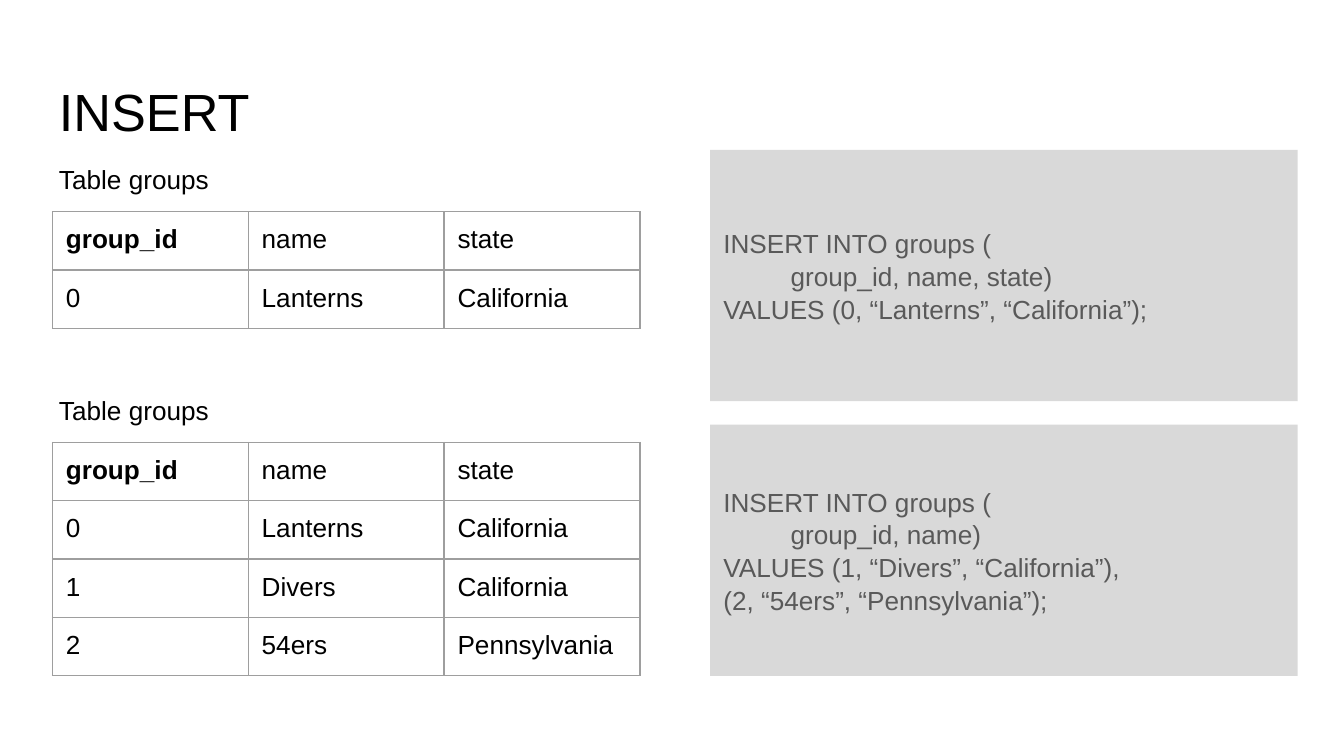
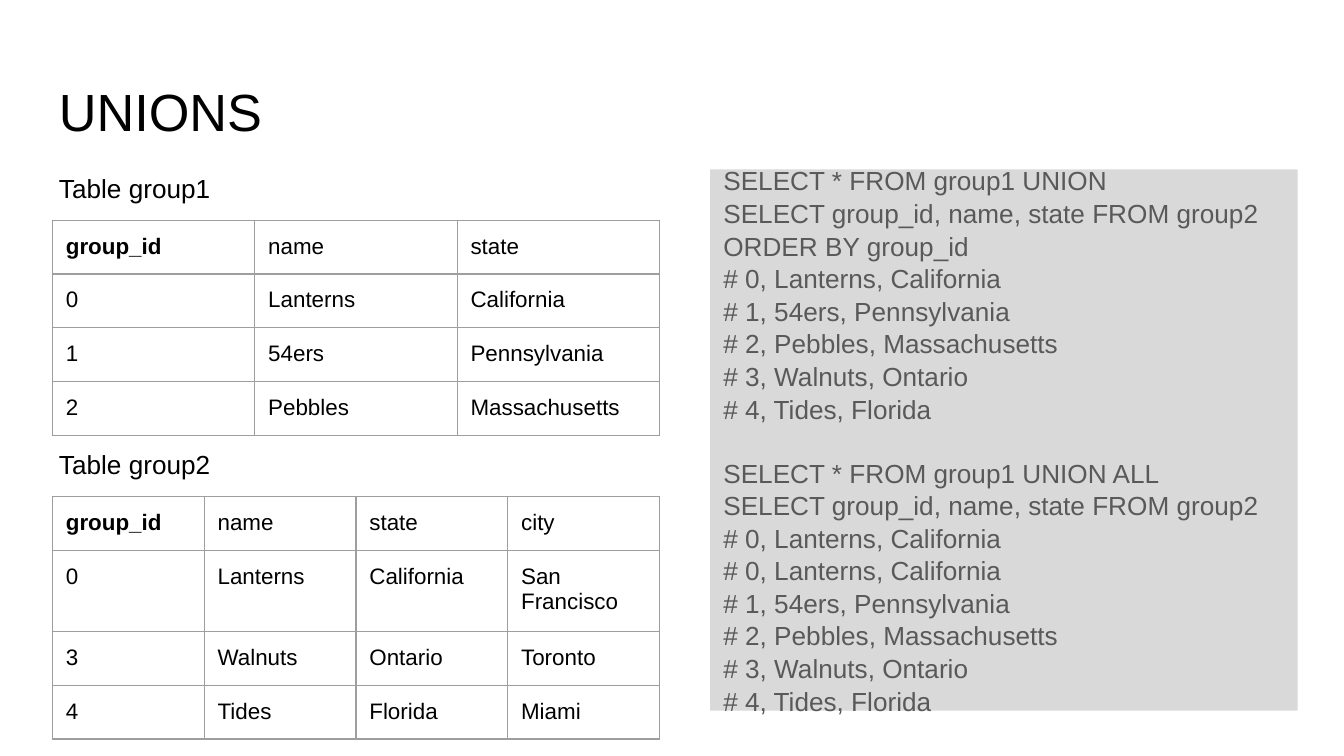
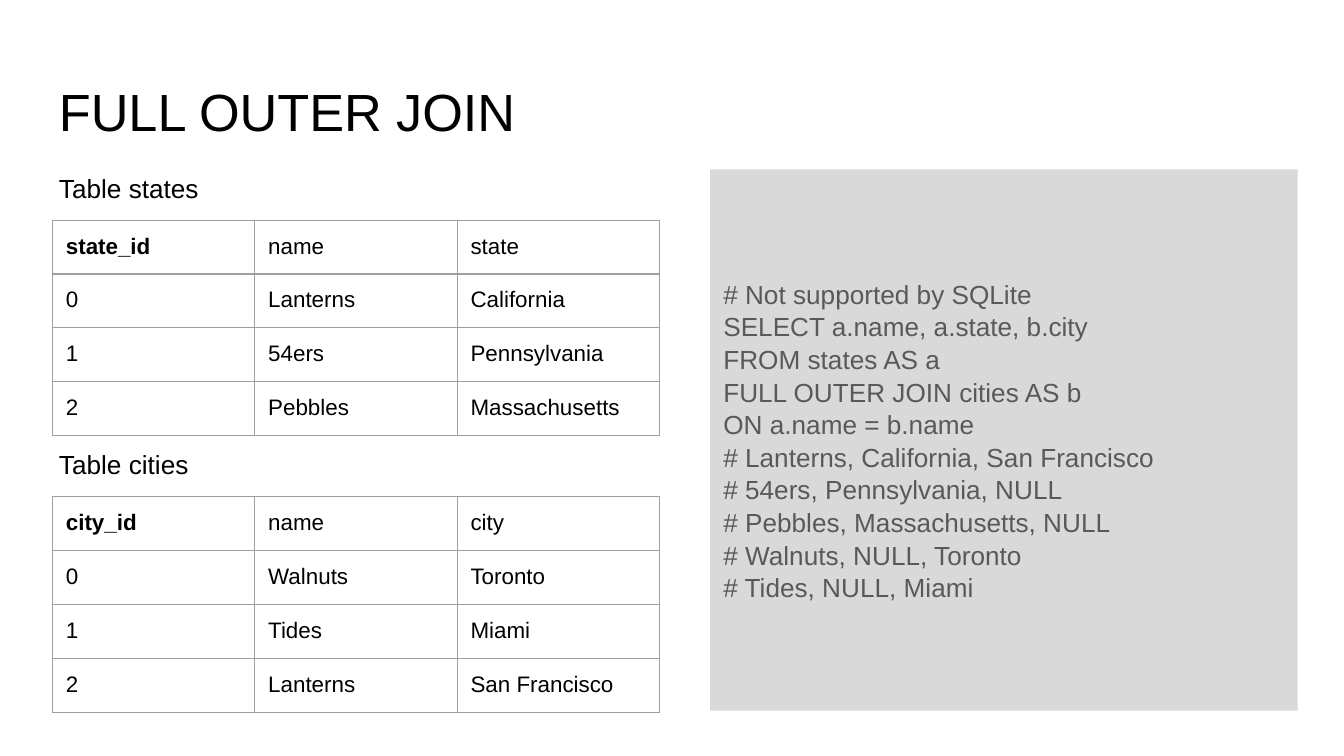
import pptx
import pptx.dml.color
import pptx.enum.shapes
import pptx.enum.text
import pptx.oxml.ns
import pptx.util
from lxml import etree

Pt = pptx.util.Pt


def color(code):
    return pptx.dml.color.RGBColor.from_string(code)


class Deck:
    # Shared style
    FONT = "Arial"
    INK, CODE, PANEL, RULE = "000000", "595959", "D9D9D9", "9E9E9E"
    LEFT, PAD = 28.1, 7.2
    LINE = 1.04  # line spacing of code

    def __init__(self):
        self.show = pptx.Presentation()
        self.show.slide_width, self.show.slide_height = Pt(720), Pt(405)

    def inset(self, item):
        item.margin_left = item.margin_right = Pt(self.PAD)
        item.margin_top = item.margin_bottom = Pt(self.PAD)

    def style(self, para, text, size, ink=INK, bold=False):
        para.text = text
        para.alignment = pptx.enum.text.PP_ALIGN.LEFT
        font = para.font
        font.name, font.size, font.bold = self.FONT, Pt(size), bold
        font.color.rgb = color(ink)

    def label(self, text, left, top, width, height, size):
        box = self.slide.shapes.add_textbox(
            Pt(left), Pt(top), Pt(width), Pt(height))
        frame = box.text_frame
        frame.word_wrap = True
        self.inset(frame)
        self.style(frame.paragraphs[0], text, size)

    def page(self, title):
        self.slide = self.show.slides.add_slide(self.show.slide_layouts[6])
        self.label(title, 24.5, 35.3, 671, 45.1, 28)

    def code(self, top, height, *blocks):
        """Gray panel; blocks are set apart by one line, a tab indents."""
        box = self.slide.shapes.add_shape(
            pptx.enum.shapes.MSO_SHAPE.RECTANGLE,
            Pt(380.4), Pt(top), Pt(314.8), Pt(height))
        box.shadow.inherit = False
        box.fill.solid()
        box.fill.fore_color.rgb = color(self.PANEL)
        box.line.fill.background()
        frame = box.text_frame
        frame.word_wrap = True
        frame.vertical_anchor = pptx.enum.text.MSO_ANCHOR.MIDDLE
        self.inset(frame)
        para = frame.paragraphs[0]
        for b, block in enumerate(blocks):
            for n, line in enumerate(block.split("\n")):
                if b or n:
                    para = frame.add_paragraph()
                self.style(para, line.strip("\t"), 14, self.CODE)
                para.line_spacing = self.LINE
                if b and n == 0:
                    para.space_before = Pt(16.8)
                if line.startswith("\t"):
                    para._p.get_or_add_pPr().set("indent", str(Pt(36)))

    def border(self, cell):
        props = cell._tc.get_or_add_tcPr()
        for side in "LRTB":
            line = etree.SubElement(
                props, pptx.oxml.ns.qn("a:ln" + side), w=str(Pt(0.75)))
            fill = etree.SubElement(line, pptx.oxml.ns.qn("a:solidFill"))
            etree.SubElement(
                fill, pptx.oxml.ns.qn("a:srgbClr"), val=self.RULE)

    def table(self, name, top, width, size, high, rows):
        """Captioned grid with a bold key in its first cell."""
        self.label(name, 24.5, top - 33, 106, 31, 14)
        grid = self.slide.shapes.add_table(
            len(rows), len(rows[0]), Pt(self.LEFT), Pt(top),
            Pt(width), Pt(high * len(rows))).table
        grid.first_row = grid.horz_banding = False
        for r, row in enumerate(rows):
            for c, value in enumerate(row):
                cell = grid.cell(r, c)
                self.inset(cell)
                self.border(cell)
                cell.fill.background()
                self.style(cell.text_frame.paragraphs[0], value, size,
                           bold=r == c == 0)

    def large(self, name, top, rows):
        self.table(name, top, 314.8, 14, 30, rows)

    def small(self, name, top, rows):
        self.table(name, top, 325.2, 12, 27.8, rows)


deck = Deck()

# Rows used more than once
HEAD = ("group_id", "name", "state")
FIRST = ("0", "Lanterns", "California")
TEAMS = [FIRST, ("1", "54ers", "Pennsylvania"),
         ("2", "Pebbles", "Massachusetts")]
UPPER, LOWER = 118, 266.2

# Slide 1: insert
deck.page("INSERT")
deck.code(80.3, 134.6,
          "INSERT INTO groups (\n\tgroup_id, name, state)\n"
          "VALUES (0, “Lanterns”, “California”);")
deck.large("Table groups", 113.4, [HEAD, FIRST])
deck.code(227.5, 134.6,
          "INSERT INTO groups (\n\tgroup_id, name)\n"
          "VALUES (1, “Divers”, “California”),\n"
          "(2, “54ers”, “Pennsylvania”);")
deck.large("Table groups", 237, [
    HEAD, FIRST,
    ("1", "Divers", "California"),
    ("2", "54ers", "Pennsylvania")])

# Slide 2: unions
first = "# 0, Lanterns, California\n"
result = first + """# 1, 54ers, Pennsylvania
# 2, Pebbles, Massachusetts
# 3, Walnuts, Ontario
# 4, Tides, Florida"""
pick = "SELECT group_id, name, state FROM group2\n"
deck.page("UNIONS")
deck.code(90.7, 290,
          "SELECT * FROM group1 UNION\n" + pick
          + "ORDER BY group_id\n" + result,
          "SELECT * FROM group1 UNION ALL\n" + pick + first + result)
deck.small("Table group1", UPPER, [HEAD, *TEAMS])
deck.small("Table group2", LOWER, [
    (*HEAD, "city"),
    (*FIRST, "San Francisco"),
    ("3", "Walnuts", "Ontario", "Toronto"),
    ("4", "Tides", "Florida", "Miami")])

# Slide 3: full outer join
deck.page("FULL OUTER JOIN")
deck.code(90.7, 290, """# Not supported by SQLite
SELECT a.name, a.state, b.city
FROM states AS a
FULL OUTER JOIN cities AS b
ON a.name = b.name
# Lanterns, California, San Francisco
# 54ers, Pennsylvania, NULL
# Pebbles, Massachusetts, NULL
# Walnuts, NULL, Toronto
# Tides, NULL, Miami""")
deck.small("Table states", UPPER, [("state_id", "name", "state"), *TEAMS])
deck.small("Table cities", LOWER, [
    ("city_id", "name", "city"),
    ("0", "Walnuts", "Toronto"),
    ("1", "Tides", "Miami"),
    ("2", "Lanterns", "San Francisco")])

deck.show.save("out.pptx")
